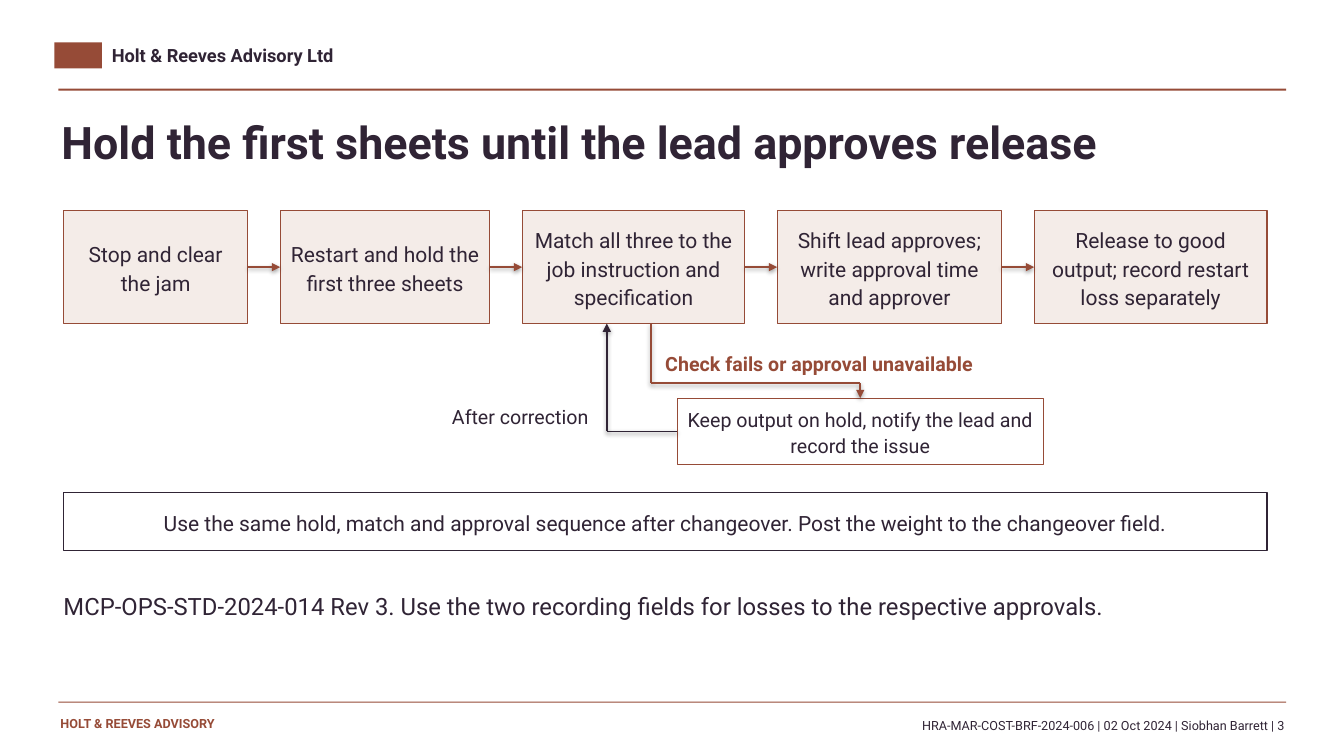
from itertools import pairwise

from lxml import etree
from pptx import Presentation
from pptx import util as u
from pptx.dml.color import RGBColor
from pptx.enum import shapes, text
from pptx.oxml import ns

COLOURS = {"rust": "964B37", "ink": "302435", "blush": "F4ECE8", "white": "FFFFFF"}
FONT = "Roboto"
COLUMNS, ROWS = 160, 90
LEFT, WIDTH = 7.56, 143.28
FLOW_TOP, FLOW_HEIGHT, FLOW_GAP = 25.08, 13.44, 3.84
FLOW_BOTTOM = FLOW_TOP + FLOW_HEIGHT
STEPS = [
    ("Stop and clear the jam", 21.96),
    ("Restart and hold the first three sheets", 24.96),
    ("Match all three to the job instruction and specification", 26.52),
    ("Shift lead approves; write approval time and approver", 26.76),
    ("Release to good output; record restart loss separately", 27.72),
]
HOLD_BOX = (80.64, 47.4, 43.56, 7.92)
FAIL_X, FAIL_Y, RETURN_X = 77.52, 45.6, 72.24


class SlideBuilder:
    def __init__(self, presentation):
        self.column = presentation.slide_width / COLUMNS
        self.row = presentation.slide_height / ROWS
        self.slide = presentation.slides.add_slide(presentation.slide_layouts[1])

    def colour(self, name):
        return RGBColor.from_string(COLOURS[name])

    def place(self, left, top, width, height):
        return (round(left * self.column), round(top * self.row),
                round(width * self.column), round(height * self.row))

    def set_words(self, shape, words, size, colour="ink", bold=False, align="LEFT",
                  anchor="TOP", inset=0, spacing=1.12):
        frame = shape.text_frame
        frame.text = words
        frame.word_wrap = True
        frame.auto_size = text.MSO_AUTO_SIZE.NONE
        frame.vertical_anchor = text.MSO_ANCHOR[anchor]
        frame.margin_left = frame.margin_right = u.Inches(inset)
        frame.margin_top = frame.margin_bottom = 0
        paragraph = frame.paragraphs[0]
        paragraph.alignment = text.PP_ALIGN[align]
        paragraph.line_spacing = spacing
        paragraph.space_before = u.Pt(0)
        font = paragraph.runs[0].font
        font.name, font.size, font.bold = FONT, u.Pt(size), bold
        font.color.rgb = self.colour(colour)

    def placeholder(self, index, area, words, size, bold=False):
        shape = self.slide.placeholders[index]
        shape.left, shape.top, shape.width, shape.height = self.place(*area)
        self.set_words(shape, words, size, bold=bold)
        return shape

    def body(self, area, words, size):
        shape = self.placeholder(1, area, words, size)
        properties = shape.text_frame.paragraphs[0]._p.get_or_add_pPr()
        properties.set("marL", "0")
        properties.set("indent", "0")
        etree.SubElement(properties, ns.qn("a:buNone"))

    def label(self, area, words, size, **style):
        shape = self.slide.shapes.add_textbox(*self.place(*area))
        self.set_words(shape, words, size, **style)

    def rectangle(self, area, fill, line=None):
        shape = self.slide.shapes.add_shape(
            shapes.MSO_SHAPE.RECTANGLE, *self.place(*area))
        shape.shadow.inherit = False
        shape.fill.solid()
        shape.fill.fore_color.rgb = self.colour(fill)
        if line:
            shape.line.color.rgb = self.colour(line)
            shape.line.width = u.Pt(0.85)
        else:
            shape.line.fill.background()
        return shape

    def box(self, area, words, size=15, fill="white", line="rust"):
        shape = self.rectangle(area, fill, line)
        self.set_words(shape, words, size, align="CENTER", anchor="MIDDLE", inset=0.1)
        return shape

    def connector(self, start, end, colour="rust", arrow=False, source=None, target=None):
        line = self.slide.shapes.add_connector(
            shapes.MSO_CONNECTOR.STRAIGHT, *self.place(*start, *end))
        if source:
            line.begin_connect(*source)
        if target:
            line.end_connect(*target)
        line.line.color.rgb = self.colour(colour)
        line.line.width = u.Pt(1.15)
        if arrow:
            outline = line._element.spPr.find(ns.qn("a:ln"))
            etree.SubElement(outline, ns.qn("a:tailEnd"), type="triangle")

    def route(self, points, colour, source=None, target=None):
        legs = list(pairwise(points))
        for number, (start, end) in enumerate(legs):
            last = number == len(legs) - 1
            self.connector(start, end, colour, arrow=last,
                           source=None if number else source,
                           target=target if last else None)


def add_frame(builder):
    builder.rectangle((6.48, 5.04, 5.64, 3.12), "rust")
    builder.label((13.32, 5.28, 72, 3.24), "Holt & Reeves Advisory Ltd", 13,
                  bold=True, spacing=1)
    for top, height in ((10.56, 0.24), (83.52, 0.12)):
        builder.rectangle((6.96, top, 146.16, height), "rust")
    builder.label((7.2, 85.2, 40.8, 3), "HOLT & REEVES ADVISORY", 9,
                  colour="rust", bold=True, spacing=1)
    builder.label((49.44, 85.2, 103.44, 3),
                  "HRA-MAR-COST-BRF-2024-006 | 02 Oct 2024 | Siobhan Barrett | 3",
                  9, align="RIGHT")


def add_flow(builder):
    left, previous = LEFT, None
    middle = FLOW_TOP + FLOW_HEIGHT / 2
    for words, width in STEPS:
        step = builder.box((left, FLOW_TOP, width, FLOW_HEIGHT), words, fill="blush")
        if previous:
            builder.connector((left - FLOW_GAP, middle), (left, middle), arrow=True,
                              source=(previous, 3), target=(step, 1))
        left += width + FLOW_GAP
        previous = step


def add_hold_loop(builder):
    left, top, width, height = HOLD_BOX
    centre, middle = left + width / 2, top + height / 2
    hold = builder.box(HOLD_BOX, "Keep output on hold, notify the lead and record the issue", 14)
    builder.label((79.2, 41.52, 51.6, 3.6), "Check fails or approval unavailable", 14,
                  colour="rust", bold=True)
    builder.route([(FAIL_X, FLOW_BOTTOM), (FAIL_X, FAIL_Y), (centre, FAIL_Y), (centre, top)],
                  "rust", target=(hold, 0))
    builder.route([(left, middle), (RETURN_X, middle), (RETURN_X, FLOW_BOTTOM)],
                  "ink", source=(hold, 1))
    builder.label((46.08, 47.88, 24, 3.48), "After correction", 14, align="RIGHT")


def main():
    presentation = Presentation()
    presentation.slide_width = u.Inches(40 / 3)
    presentation.slide_height = u.Inches(7.5)
    builder = SlideBuilder(presentation)
    add_frame(builder)
    builder.placeholder(0, (7.32, 12.84, 144, 9.36),
                        "Hold the first sheets until the lead approves release", 32, bold=True)
    builder.body((LEFT, 70.08, WIDTH, 9.6),
                 "MCP-OPS-STD-2024-014 Rev 3. Use the two recording fields "
                 "for losses to the respective approvals.", 17)
    add_flow(builder)
    add_hold_loop(builder)
    builder.box((LEFT, 58.68, WIDTH, 6.84),
                "Use the same hold, match and approval sequence after changeover. "
                "Post the weight to the changeover field.", line="ink")
    presentation.save("out.pptx")


if __name__ == "__main__":
    main()
